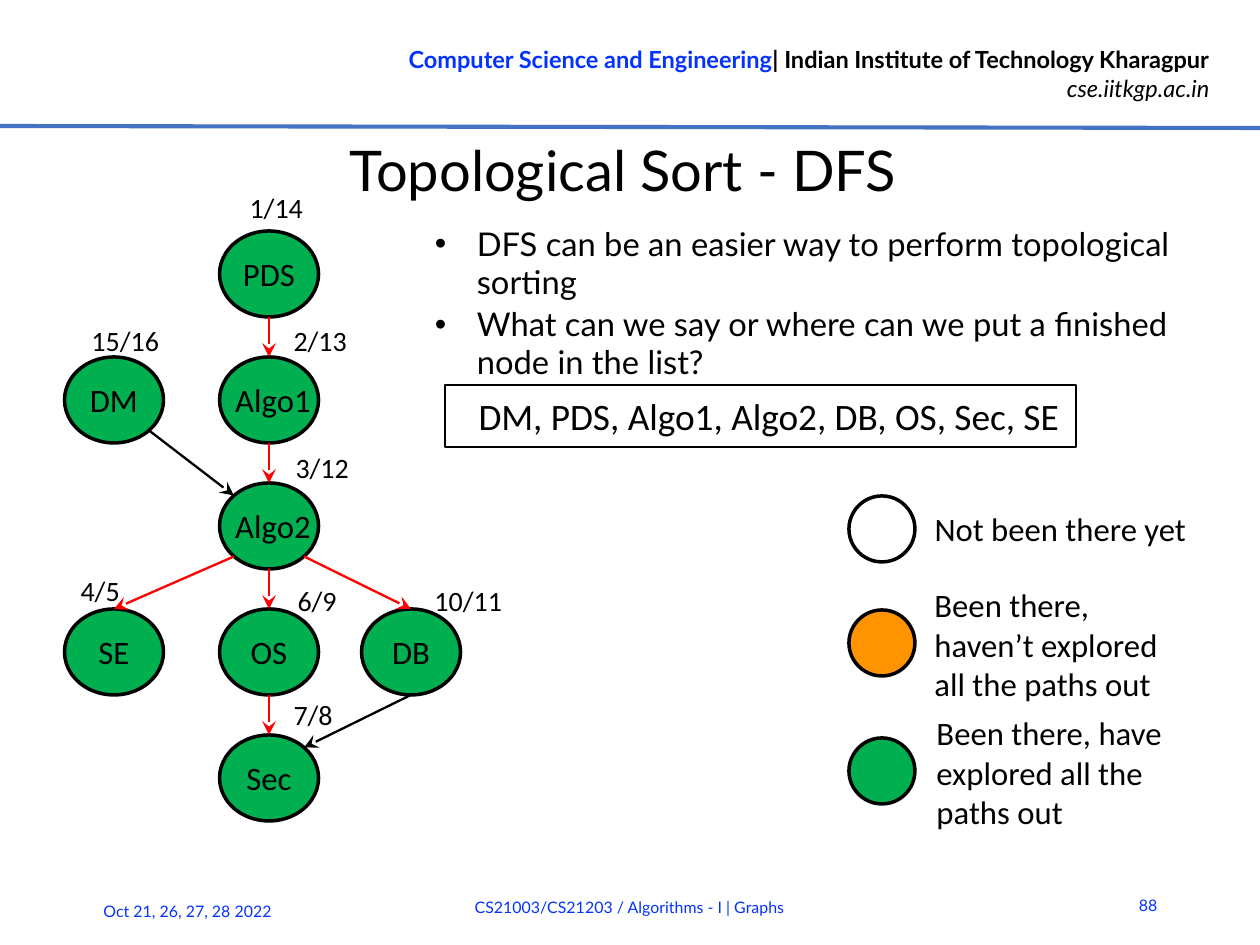
from lxml.etree import SubElement
from pptx import Presentation
from pptx.dml.color import RGBColor
from pptx.enum.shapes import MSO_CONNECTOR, MSO_SHAPE
from pptx.enum.text import MSO_ANCHOR, MSO_AUTO_SIZE, PP_ALIGN
from pptx.oxml.ns import qn
from pptx.util import Emu, Pt

BLACK, BLUE, RED = "000000", "0432FF", "FF0000"
GREEN, ORANGE = "00B050", "FF9300"
NODE_WIDTH, NODE_HEIGHT = 99, 86


def px(length):
    return Emu(round(length * 914400 / 168))


def color(value):
    return RGBColor.from_string(value)


class Page:
    heading_font = "Lato"
    label_font = "Calibri"

    def __init__(self, deck):
        self.slide = deck.slides.add_slide(deck.slide_layouts[1])
        self.shapes = self.slide.shapes

    def place(self, shape, left, top, width, height):
        shape.left, shape.top = px(left), px(top)
        shape.width, shape.height = px(width), px(height)

    def span(self, para, text, size, font, ink=BLACK, bold=False, italic=False):
        run = para.add_run()
        run.text = text
        run.font.name = font
        run.font.size = Pt(size)
        run.font.bold = bold
        run.font.italic = italic
        run.font.color.rgb = color(ink)

    def title(self, text, *area):
        box = self.shapes.title
        self.place(box, *area)
        frame = box.text_frame
        frame.auto_size = MSO_AUTO_SIZE.NONE
        frame.vertical_anchor = MSO_ANCHOR.MIDDLE
        frame.margin_left = frame.margin_right = 0
        frame.margin_top = frame.margin_bottom = 0
        para = frame.paragraphs[0]
        para.alignment = PP_ALIGN.CENTER
        self.span(para, text, 24, self.heading_font)

    def bullets(self, items, *area):
        box = self.slide.placeholders[1]
        self.place(box, *area)
        frame = box.text_frame
        frame.auto_size = MSO_AUTO_SIZE.NONE
        for index, item in enumerate(items):
            para = frame.add_paragraph() if index else frame.paragraphs[0]
            properties = para._p.get_or_add_pPr()
            properties.set("marL", str(px(42)))
            properties.set("indent", str(-px(42)))
            SubElement(properties, qn("a:buChar")).set("char", "•")
            para.line_spacing = Pt(16.2)
            para.space_before = Pt(1 if index else 0)
            para.space_after = Pt(1)
            self.span(para, item, 14, self.heading_font)

    def text(self, lines, *area, align=PP_ALIGN.LEFT, anchor=MSO_ANCHOR.TOP, wrap=True):
        box = self.shapes.add_textbox(0, 0, 0, 0)
        self.place(box, *area)
        frame = box.text_frame
        frame.word_wrap = wrap
        frame.vertical_anchor = anchor
        for index, spans in enumerate(lines):
            para = frame.add_paragraph() if index else frame.paragraphs[0]
            para.alignment = align
            for span in spans:
                self.span(para, *span)

    def label(self, text, *area, size=14, wrap=False):
        self.text([[(text, size, self.label_font)]], *area, wrap=wrap)

    def footer(self, text, *area, align):
        self.text([[(text, 6.8, self.heading_font, BLUE)]], *area,
                  align=align, anchor=MSO_ANCHOR.MIDDLE)

    def shape(self, kind, fill, weight, *area):
        shape = self.shapes.add_shape(kind, 0, 0, 0, 0)
        self.place(shape, *area)
        shape.shadow.inherit = False
        if fill:
            shape.fill.solid()
            shape.fill.fore_color.rgb = color(fill)
        else:
            shape.fill.background()
        shape.line.color.rgb = color(BLACK)
        shape.line.width = Pt(weight)
        return shape

    def node(self, name, x, y, nudge):
        oval = self.shape(MSO_SHAPE.OVAL, GREEN, 1.5, x - NODE_WIDTH / 2,
                          y - NODE_HEIGHT / 2, NODE_WIDTH, NODE_HEIGHT)
        frame = oval.text_frame
        frame.word_wrap = False
        frame.vertical_anchor = MSO_ANCHOR.MIDDLE
        frame.margin_left, frame.margin_right = px(2 * nudge), 0
        frame.margin_top = frame.margin_bottom = 0
        para = frame.paragraphs[0]
        para.alignment = PP_ALIGN.CENTER
        self.span(para, name, 14, self.label_font)
        return oval

    def list_box(self, text, *area):
        box = self.shape(MSO_SHAPE.RECTANGLE, None, 0.75, *area)
        box.text_frame.vertical_anchor = MSO_ANCHOR.TOP
        para = box.text_frame.paragraphs[0]
        para.alignment = PP_ALIGN.RIGHT
        self.span(para, text, 16, self.label_font)

    def line(self, start, end, ink, weight, arrow=False):
        line = self.shapes.add_connector(MSO_CONNECTOR.STRAIGHT,
                                         *map(px, (*start, *end)))
        line.line.color.rgb = color(ink)
        line.line.width = Pt(weight)
        if arrow:
            SubElement(line.line._get_or_add_ln(), qn("a:tailEnd")).set("type", "stealth")
        SubElement(line._element.spPr, qn("a:effectLst"))
        return line


def main():
    deck = Presentation()
    deck.slide_width, deck.slide_height = px(1260), px(945)
    page = Page(deck)
    lato = page.heading_font

    page.text([[("Computer Science and Engineering", 10.1, lato, BLUE, True),
                ("| Indian Institute of Technology Kharagpur", 10.1, lato, BLACK, True)],
               [("cse.iitkgp.ac.in", 10.1, lato, BLACK, False, True)]],
              300, 37, 926, 74, align=PP_ALIGN.RIGHT)
    page.line((0, 126), (1260, 128), "4472C4", 1.75)
    page.title("Topological Sort - DFS", 40, 134, 1166, 70)
    page.bullets(["DFS can be an easier way to perform topological sorting",
                  "What can we say or where can we put a finished node in the list?"],
                 418, 217, 820, 203)

    columns = (114, 269, 411)
    rows = [274 + 126 * row for row in range(5)]
    graph = {"PDS": (1, 0, 0), "DM": (0, 1, 0), "Algo1": (1, 1, 4), "Algo2": (1, 2, 4),
             "SE": (0, 3, 0), "OS": (1, 3, 0), "DB": (2, 3, 0), "Sec": (1, 4, 0)}
    centers = {name: (columns[column], rows[row])
               for name, (column, row, nudge) in graph.items()}
    ovals = {name: page.node(name, *centers[name], graph[name][2]) for name in graph}

    slant_x, slant_y = NODE_WIDTH / 2 * 0.71, NODE_HEIGHT / 2 * 0.71
    sides = {"top": (0, -NODE_HEIGHT / 2), "bottom": (0, NODE_HEIGHT / 2),
             "top left": (-slant_x, -slant_y), "top right": (slant_x, -slant_y),
             "bottom left": (-slant_x, slant_y), "bottom right": (slant_x, slant_y)}
    edges = [("PDS", "bottom", "Algo1", "top", RED),
             ("Algo1", "bottom", "Algo2", "top", RED),
             ("Algo2", "bottom", "OS", "top", RED),
             ("Algo2", "bottom right", "DB", "top", RED),
             ("Algo2", "bottom left", "SE", "top", RED),
             ("DM", "bottom right", "Algo2", "top left", BLACK),
             ("OS", "bottom", "Sec", "top", RED),
             ("DB", "bottom", "Sec", "top right", BLACK)]
    for source, leave, target, enter, ink in edges:
        start, end = [[center + offset for center, offset in zip(centers[name], sides[side])]
                      for name, side in ((source, leave), (target, enter))]
        arrow = page.line(start, end, ink, 1, arrow=True)
        if enter == "top":
            arrow.end_connect(ovals[target], 0)

    times = [("1/14", 233, 182, 87), ("15/16", 75, 315, 102), ("2/13", 277, 315, 87),
             ("3/12", 279, 442, 87), ("4/5", 64, 565, 74), ("6/9", 281, 575, 74),
             ("10/11", 418, 575, 102), ("7/8", 277, 689, 74)]
    for time, left, top, width in times:
        page.label(time, left, top, width, 50, size=12)

    page.list_box("DM, PDS, Algo1, Algo2, DB, OS, Sec, SE", 445, 385, 631, 62)

    legend = [("Not been there yet", None, 496, 918, 501, 289, 57),
              ("Been there, haven’t explored all the paths out", ORANGE, 610, 918, 577, 284, 136),
              ("Been there, have explored all the paths out", GREEN, 738, 920, 705, 284, 136)]
    for meaning, fill, top, *area in legend:
        page.shape(MSO_SHAPE.OVAL, fill, 1.5, 849, top, 66, 66)
        page.label(meaning, *area, wrap=fill is not None)

    page.footer("Oct 21, 26, 27, 28 2022", 87, 886, 220, 50, align=PP_ALIGN.LEFT)
    page.footer("CS21003/CS21203 / Algorithms - I | Graphs", 208, 882, 843, 50,
                align=PP_ALIGN.CENTER)
    page.footer("88", 1112, 880, 62, 50, align=PP_ALIGN.RIGHT)
    deck.save("out.pptx")


if __name__ == "__main__":
    main()
